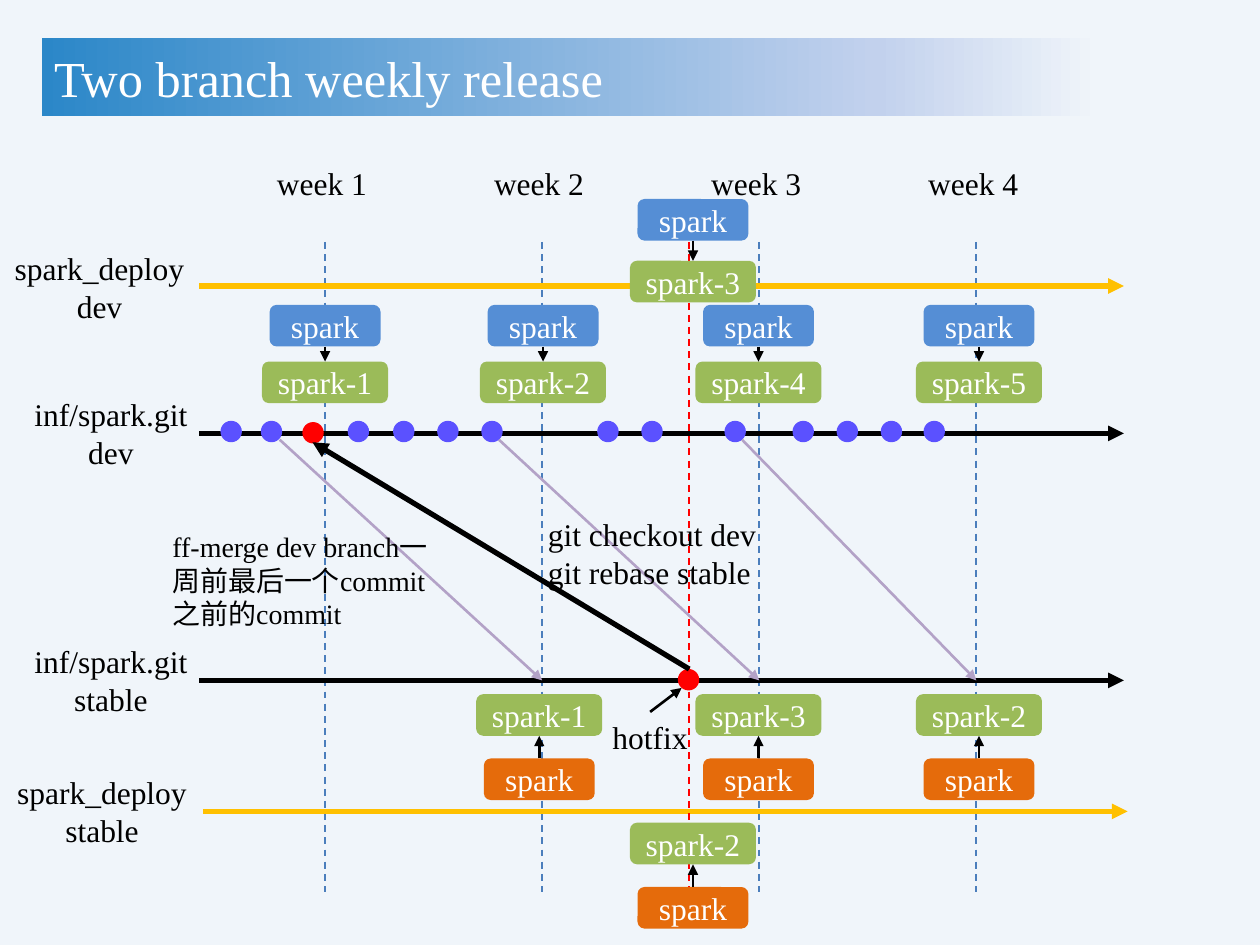
import copy
import pptx
import pptx.util
import pptx.dml.color
import pptx.enum.dml
import pptx.enum.shapes
import pptx.enum.text
import pptx.oxml
import pptx.oxml.ns
from pptx.util import Inches

COLORS = {
    "background": "F0F5FA", "title_start": "2B87C8", "title_middle": "C2D1ED",
    "white": "FFFFFF", "black": "000000", "week": "4B7EBC", "deploy": "FFC000",
    "commit": "5B51FF", "hotfix": "FF0000", "merge": "B3A2C7",
    "dev": "558ED5", "release": "9BBB59", "stable": "E56B0B",
}
RGB = {name: pptx.dml.color.RGBColor.from_string(value) for name, value in COLORS.items()}
FONT = "Times New Roman"
SHAPES = pptx.enum.shapes.MSO_SHAPE
CENTER = pptx.enum.text.PP_ALIGN.CENTER
LEFT = pptx.enum.text.PP_ALIGN.LEFT
MIDDLE = pptx.enum.text.MSO_ANCHOR.MIDDLE

deck = pptx.Presentation()
deck.slide_width, deck.slide_height = Inches(10), Inches(7.5)
slide = deck.slides.add_slide(deck.slide_layouts[5])
slide.background.fill.solid()
slide.background.fill.fore_color.rgb = RGB["background"]


def write(frame, lines, size=18, color="black", align=CENTER):
    frame.vertical_anchor = MIDDLE
    for index, line in enumerate(lines):
        paragraph = frame.paragraphs[0] if index == 0 else frame.add_paragraph()
        paragraph.alignment = align
        run = paragraph.add_run()
        run.text = line
        run.font.name = FONT
        run.font.size = pptx.util.Pt(size)
        run.font.color.rgb = RGB[color]


def draw_line(x1, y1, x2, y2, color="black", width=1.5, dashed=False):
    line = slide.shapes.add_connector(
        pptx.enum.shapes.MSO_CONNECTOR.STRAIGHT, Inches(x1), Inches(y1), Inches(x2), Inches(y2))
    line.line.color.rgb = RGB[color]
    line.line.width = pptx.util.Pt(width)
    if dashed:
        line.line.dash_style = pptx.enum.dml.MSO_LINE.DASH
    else:
        pptx.oxml.ns.qn("a:tailEnd")
        line.line._get_or_add_ln().append(pptx.oxml.parse_xml(
            '<a:tailEnd %s type="triangle"/>' % pptx.oxml.ns.nsdecls("a")))
    line._element.spPr.append(pptx.oxml.parse_xml(
        "<a:effectLst %s/>" % pptx.oxml.ns.nsdecls("a")))


title = slide.shapes.title
title.left, title.top, title.width, title.height = map(Inches, (0.33, 0.3, 9.33, 0.62))
title.fill.gradient()
title.fill.gradient_angle = 0
first_stop = title.fill.gradient_stops[0]._gs
first_stop.addnext(copy.deepcopy(first_stop))
title_stops = [(0, "title_start"), (0.71, "title_middle"), (0.9, "background")]
for stop, (position, color) in zip(title.fill.gradient_stops, title_stops):
    stop.position = position
    stop.color.rgb = RGB[color]
write(title.text_frame, ["Two branch weekly release"], 28.8, "white", LEFT)

weeks = [2.58 + 1.723 * number for number in range(4)]
for week in weeks:
    draw_line(week, 1.92, week, 7.08, "week", 1, True)

timelines = [
    (1.58, 5.4, "black"), (1.58, 3.44, "black"),
    (1.58, 2.27, "deploy"), (1.61, 6.44, "deploy"),
]
for start, y, color in timelines:
    draw_line(start, y, start + 7.34, y, color, 3)
draw_line(5.47, 1.92, 5.47, 7.08, "hotfix", 1, True)
draw_line(5.16, 5.65, 5.41, 5.46)

commits = [(x, 3.34, "commit") for x in (
    1.75, 2.07, 2.76, 3.12, 3.47, 3.82, 4.74, 5.09, 5.75, 6.29, 6.64, 6.99, 7.33)]
commits += [(5.38, 5.31, "hotfix"), (2.4, 3.35, "hotfix")]
for x, y, color in commits:
    commit = slide.shapes.add_shape(
        SHAPES.OVAL, Inches(x), Inches(y), Inches(0.17), Inches(0.17))
    commit.shadow.inherit = False
    commit.fill.solid()
    commit.fill.fore_color.rgb = RGB[color]
    commit.line.fill.background()

for start, week in zip((2.22, 3.96, 5.89), weeks[1:]):
    draw_line(start, 3.49, week, 5.4, "merge")
draw_line(5.47, 5.31, 2.48, 3.51, "black", 3)

labels = [
    (0.17, 5.04, 1.42, 0.71, ["inf/spark.git", "stable"], 18, CENTER),
    (0.17, 3.08, 1.42, 0.71, ["inf/spark.git", "dev"], 18, CENTER),
    (0, 1.92, 1.58, 0.71, ["spark_deploy", "dev"], 18, CENTER),
    (0.02, 6.08, 1.58, 0.71, ["spark_deploy", "stable"], 18, CENTER),
    (4.73, 5.65, 0.86, 0.4, ["hotfix"], 18, CENTER),
    (4.25, 4.03, 1.88, 0.71, ["git checkout dev", "git rebase stable"], 18, LEFT),
    (1.27, 4.15, 2.39, 0.91, ["ff-merge dev branch一周前最后一个commit之前的commit"], 16, LEFT),
]
labels += [(week - 0.48, 1.25, 0.96, 0.4, ["week %d" % number], 18, LEFT)
           for number, week in enumerate(weeks, 1)]
for x, y, width, height, lines, size, align in labels:
    label = slide.shapes.add_textbox(Inches(x), Inches(y), Inches(width), Inches(height))
    label.text_frame.word_wrap = size == 16
    write(label.text_frame, lines, size, "black", align)

builds = [
    (4.28, 6.02, 5.51, "stable", "spark-1"),
    (6.02, 6.02, 5.51, "stable", "spark-3"),
    (7.77, 6.02, 5.51, "stable", "spark-2"),
    (5.5, 7.04, 6.53, "stable", "spark-2"),
    (2.58, 2.42, 2.87, "dev", "spark-1"),
    (4.31, 2.42, 2.87, "dev", "spark-2"),
    (6.02, 2.42, 2.87, "dev", "spark-4"),
    (7.77, 2.42, 2.87, "dev", "spark-5"),
    (5.5, 1.58, 2.07, "dev", "spark-3"),
]
for center, source_y, release_y, branch, release in builds:
    for y, width, color, name in ((source_y, 0.88, branch, "spark"),
                                  (release_y, 1, "release", release)):
        box = slide.shapes.add_shape(
            SHAPES.ROUNDED_RECTANGLE, Inches(center - width / 2), Inches(y),
            Inches(width), Inches(0.33))
        box.shadow.inherit = False
        box.fill.solid()
        box.fill.fore_color.rgb = RGB[color]
        box.line.fill.background()
        write(box.text_frame, [name], 18, "white")
    if branch == "dev":
        draw_line(center, source_y + 0.33, center, release_y)
    else:
        draw_line(center, source_y, center, release_y + 0.33)

deck.save("out.pptx")
